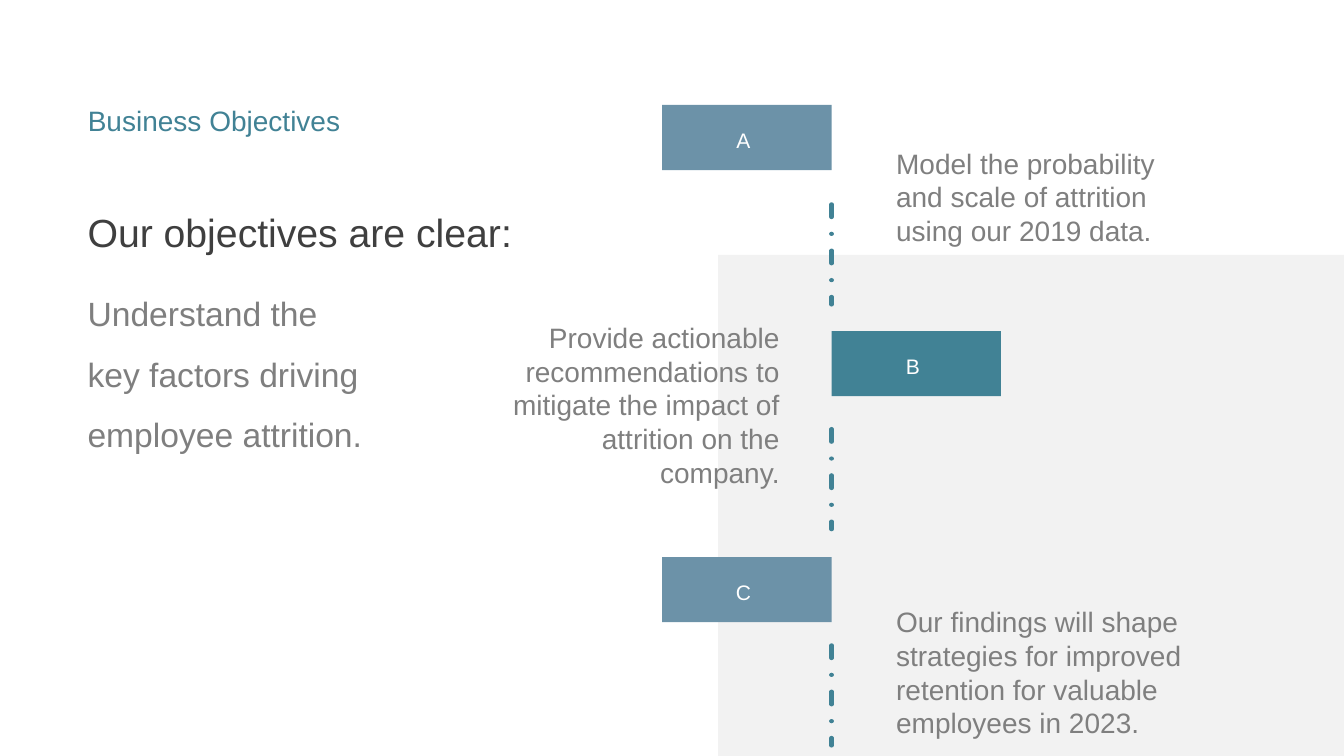
"""Build the business objectives slide with a three-step timeline."""
from lxml.etree import SubElement
from pptx import Presentation
from pptx.dml.color import RGBColor
from pptx.enum.dml import MSO_LINE
from pptx.enum.shapes import MSO_CONNECTOR, MSO_SHAPE
from pptx.enum.text import MSO_ANCHOR, MSO_AUTO_SIZE, PP_ALIGN
from pptx.oxml.ns import qn
from pptx.util import Pt

TEAL, SLATE, PALE = "418295", "6C92A8", "F2F2F2"
DARK, GREY, WHITE = "3F3F3F", "7F7F7F", "FFFFFF"
AXIS_X = 594
STEP_TOP, STEP_PITCH = 75, 161.5
STEP_WIDTH, STEP_HEIGHT = 121, 46.5
DASH_HEIGHT = 71.5


def color(value):
    """Return the colour for a hex string."""
    return RGBColor.from_string(value)


def place(shape, left, top, width, height):
    """Set the position and size of a shape in points."""
    shape.left, shape.top = Pt(left), Pt(top)
    shape.width, shape.height = Pt(width), Pt(height)


def write(shape, text, size=20, fill=GREY, align=PP_ALIGN.LEFT,
          anchor=MSO_ANCHOR.TOP, spacing=1.0, insets=(7.2, 3.6, 7.2, 3.6),
          fit=MSO_AUTO_SIZE.NONE):
    """Fill a shape with one formatted paragraph."""
    frame = shape.text_frame
    frame.word_wrap = True
    frame.auto_size = fit
    frame.vertical_anchor = anchor
    (frame.margin_left, frame.margin_top,
     frame.margin_right, frame.margin_bottom) = map(Pt, insets)
    paragraph = frame.paragraphs[0]
    paragraph.alignment = align
    paragraph.line_spacing = spacing
    run = paragraph.add_run()
    run.text = text
    run.font.name = "Arial"
    run.font.size = Pt(size)
    run.font.color.rgb = color(fill)


def add_text(slide, text, left, top, width, height, **style):
    """Add a wrapped text box that grows with its text."""
    box = slide.shapes.add_textbox(Pt(left), Pt(top), Pt(width), Pt(height))
    write(box, text, fit=MSO_AUTO_SIZE.SHAPE_TO_FIT_TEXT, **style)


def add_block(slide, left, top, width, height, fill):
    """Add a flat filled rectangle without outline."""
    block = slide.shapes.add_shape(
        MSO_SHAPE.RECTANGLE, Pt(left), Pt(top), Pt(width), Pt(height))
    block.shadow.inherit = False
    block.fill.solid()
    block.fill.fore_color.rgb = color(fill)
    block.line.fill.background()
    return block


def add_step(slide, index, letter):
    """Add a lettered block, alternating left and right of the axis."""
    on_right = index % 2 == 1
    left = AXIS_X if on_right else AXIS_X - STEP_WIDTH
    block = add_block(slide, left, STEP_TOP + index * STEP_PITCH,
                      STEP_WIDTH, STEP_HEIGHT, TEAL if on_right else SLATE)
    write(block, letter, size=15, fill=WHITE, align=PP_ALIGN.CENTER,
          anchor=MSO_ANCHOR.MIDDLE, insets=(0, 4, 5, 0))


def add_dashes(slide, top):
    """Add a vertical dash-dot line with round caps on the axis."""
    line = slide.shapes.add_connector(
        MSO_CONNECTOR.STRAIGHT, Pt(AXIS_X), Pt(top),
        Pt(AXIS_X), Pt(top + DASH_HEIGHT))
    line.line.color.rgb = color(TEAL)
    line.line.width = Pt(3)
    line.line.dash_style = MSO_LINE.DASH_DOT
    properties = line._element.spPr
    properties.find(qn("a:ln")).set("cap", "rnd")
    SubElement(properties, qn("a:effectLst"))


def main():
    """Build and save the slide."""
    presentation = Presentation()
    presentation.slide_width, presentation.slide_height = Pt(960), Pt(540)
    slide = presentation.slides.add_slide(presentation.slide_layouts[5])

    title = slide.shapes.title
    place(title, 55.5, 70.5, 250.5, 24.5)
    write(title, "Business Objectives", fill=TEAL)

    add_block(slide, 513, 182, 447, 358, PALE)
    for index, letter in enumerate("ABC"):
        add_step(slide, index, letter)
    for top in (146, 306.5, 461):
        add_dashes(slide, top)

    add_text(slide, "Our objectives are clear:",
             55.5, 145.5, 332, 41, size=28, fill=DARK)
    add_text(slide, "Understand the key factors driving employee attrition.",
             55.5, 191.5, 213, 178, size=24, spacing=1.5)
    add_text(slide, "Model the probability and scale of attrition "
             "using our 2019 data.", 633, 101, 222, 68.5)
    add_text(slide, "Provide actionable recommendations to mitigate "
             "the impact of attrition on the company.",
             353, 225.5, 211, 108.5, align=PP_ALIGN.RIGHT)
    add_text(slide, "Our findings will shape strategies for improved "
             "retention for valuable employees in 2023.",
             633, 428.5, 231, 68.5)
    presentation.save("out.pptx")


if __name__ == "__main__":
    main()
